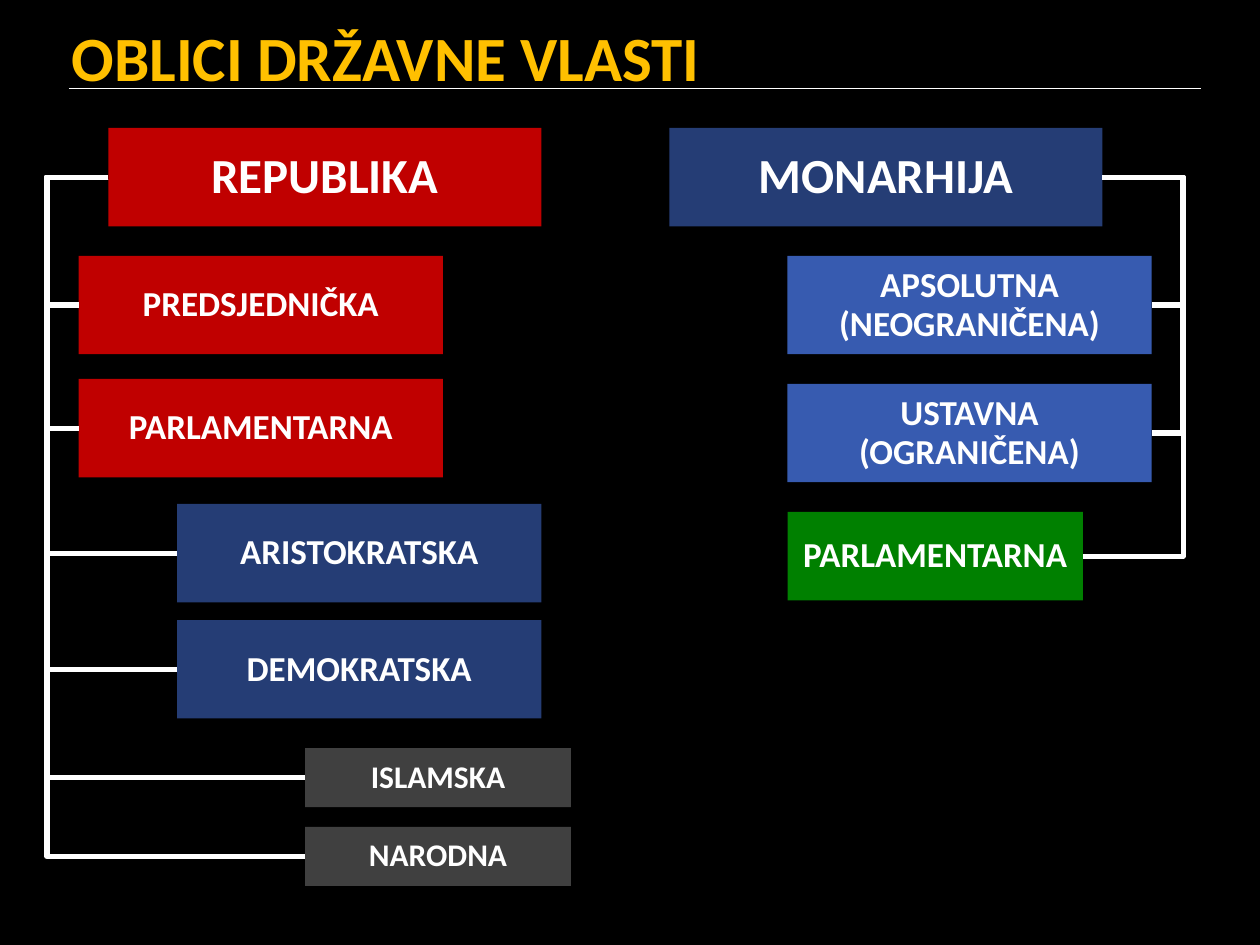
import dataclasses
import typing

import pptx
import pptx.dml.color
import pptx.enum.shapes
import pptx.enum.text
import pptx.oxml.ns
import pptx.util
from lxml import etree

COLUMNS, ROWS = 128, 96
LEFT_SITE, RIGHT_SITE = 1, 3


def rgb(code):
    return pptx.dml.color.RGBColor.from_string(code)


def apply(target, values):
    for name, value in values.items():
        setattr(target, name, value)


@dataclasses.dataclass
class Theme:
    font: str = "Calibri"
    background: str = "000000"
    title: str = "FFC000"
    text: str = "FFFFFF"
    red: str = "C00000"
    navy: str = "253D75"
    blue: str = "375BB0"
    green: str = "008000"
    grey: str = "404040"
    title_size: int = 36
    root_size: int = 28
    branch_size: int = 20
    leaf_size: int = 18
    rule_width: float = 1
    branch_width: float = 3


@dataclasses.dataclass
class Chart:
    deck: typing.Any
    slide: typing.Any
    theme: Theme

    def x(self, column):
        return pptx.util.Emu(round(self.deck.slide_width * column / COLUMNS))

    def y(self, row):
        return pptx.util.Emu(round(self.deck.slide_height * row / ROWS))

    def place(self, column, row, width, height):
        return self.x(column), self.y(row), self.x(width), self.y(height)

    def label(self, frame, text, size, color, paragraph_format):
        frame.text = text
        paragraph = frame.paragraphs[0]
        apply(paragraph, paragraph_format)
        apply(paragraph.font, {"name": self.theme.font, "size": pptx.util.Pt(size), "bold": True})
        paragraph.font.color.rgb = rgb(color)

    def background(self):
        fill = self.slide.background.fill
        fill.solid()
        fill.fore_color.rgb = rgb(self.theme.background)

    def title(self, text, column, row, width, height):
        heading = self.slide.shapes.title
        places = self.place(column, row, width, height)
        apply(heading, dict(zip(("left", "top", "width", "height"), places)))
        apply(heading.text_frame, {
            "word_wrap": True,
            "auto_size": pptx.enum.text.MSO_AUTO_SIZE.NONE,
            "vertical_anchor": pptx.enum.text.MSO_ANCHOR.TOP,
            "margin_top": pptx.util.Inches(0.07),
            "margin_bottom": 0,
        })
        self.label(heading.text_frame, text, self.theme.title_size, self.theme.title,
                   {"alignment": pptx.enum.text.PP_ALIGN.LEFT})

    def box(self, text, color, size, column, row, width, height):
        form = self.slide.shapes.add_shape(
            pptx.enum.shapes.MSO_SHAPE.RECTANGLE, *self.place(column, row, width, height))
        form.shadow.inherit = False
        form.fill.solid()
        form.fill.fore_color.rgb = rgb(color)
        form.line.fill.background()
        apply(form.text_frame, {
            "word_wrap": True,
            "vertical_anchor": pptx.enum.text.MSO_ANCHOR.MIDDLE,
        })
        self.label(form.text_frame, text, size, self.theme.text,
                   {"alignment": pptx.enum.text.PP_ALIGN.CENTER, "line_spacing": 0.93})
        return form

    def style_line(self, line, width):
        line.line.color.rgb = rgb(self.theme.text)
        line.line.width = pptx.util.Pt(width)
        etree.SubElement(line._element.spPr, pptx.oxml.ns.qn("a:effectLst"))

    def rule(self, start, end, row):
        line = self.slide.shapes.add_connector(
            pptx.enum.shapes.MSO_CONNECTOR.STRAIGHT,
            self.x(start), self.y(row), self.x(end), self.y(row))
        self.style_line(line, self.theme.rule_width)

    def branch(self, root, member, site, rail):
        line = self.slide.shapes.add_connector(
            pptx.enum.shapes.MSO_CONNECTOR.ELBOW, 0, 0, 0, 0)
        line.begin_connect(root, site)
        line.end_connect(member, site)
        bend = (self.x(rail) - line.begin_x) / (line.end_x - line.begin_x)
        guides = line._element.spPr.find(".//" + pptx.oxml.ns.qn("a:avLst"))
        etree.SubElement(guides, pptx.oxml.ns.qn("a:gd"),
                         name="adj1", fmla=f"val {round(bend * 100000)}")
        self.style_line(line, self.theme.branch_width)

    def family(self, root, members, site, rail):
        head = self.box(*root)
        for member in members:
            self.branch(head, self.box(*member), site, rail)


theme = Theme()
deck = pptx.Presentation()
apply(deck, {"slide_width": pptx.util.Inches(10), "slide_height": pptx.util.Inches(7.5)})
chart = Chart(deck, deck.slides.add_slide(deck.slide_layouts[5]), theme)

chart.background()
chart.rule(7, 122, 9)
chart.title("OBLICI DRŽAVNE VLASTI", 6, 1, 122, 8)

chart.family(
    ("REPUBLIKA", theme.red, theme.root_size, 11, 13, 44, 10),
    [
        ("PREDSJEDNIČKA", theme.red, theme.branch_size, 8, 26, 37, 10),
        ("PARLAMENTARNA", theme.red, theme.branch_size, 8, 38.5, 37, 10),
        ("ARISTOKRATSKA", theme.navy, theme.branch_size, 18, 51.2, 37, 10),
        ("DEMOKRATSKA", theme.navy, theme.branch_size, 18, 63, 37, 10),
        ("ISLAMSKA", theme.grey, theme.leaf_size, 31, 76, 27, 6),
        ("NARODNA", theme.grey, theme.leaf_size, 31, 84, 27, 6),
    ],
    LEFT_SITE, 4.75)

chart.family(
    ("MONARHIJA", theme.navy, theme.root_size, 68, 13, 44, 10),
    [
        ("APSOLUTNA (NEOGRANIČENA)", theme.blue, theme.branch_size, 80, 26, 37, 10),
        ("USTAVNA (OGRANIČENA)", theme.blue, theme.branch_size, 80, 39, 37, 10),
        ("PARLAMENTARNA", theme.green, theme.branch_size, 80, 52, 30, 9),
    ],
    RIGHT_SITE, 120.2)

deck.save("out.pptx")
